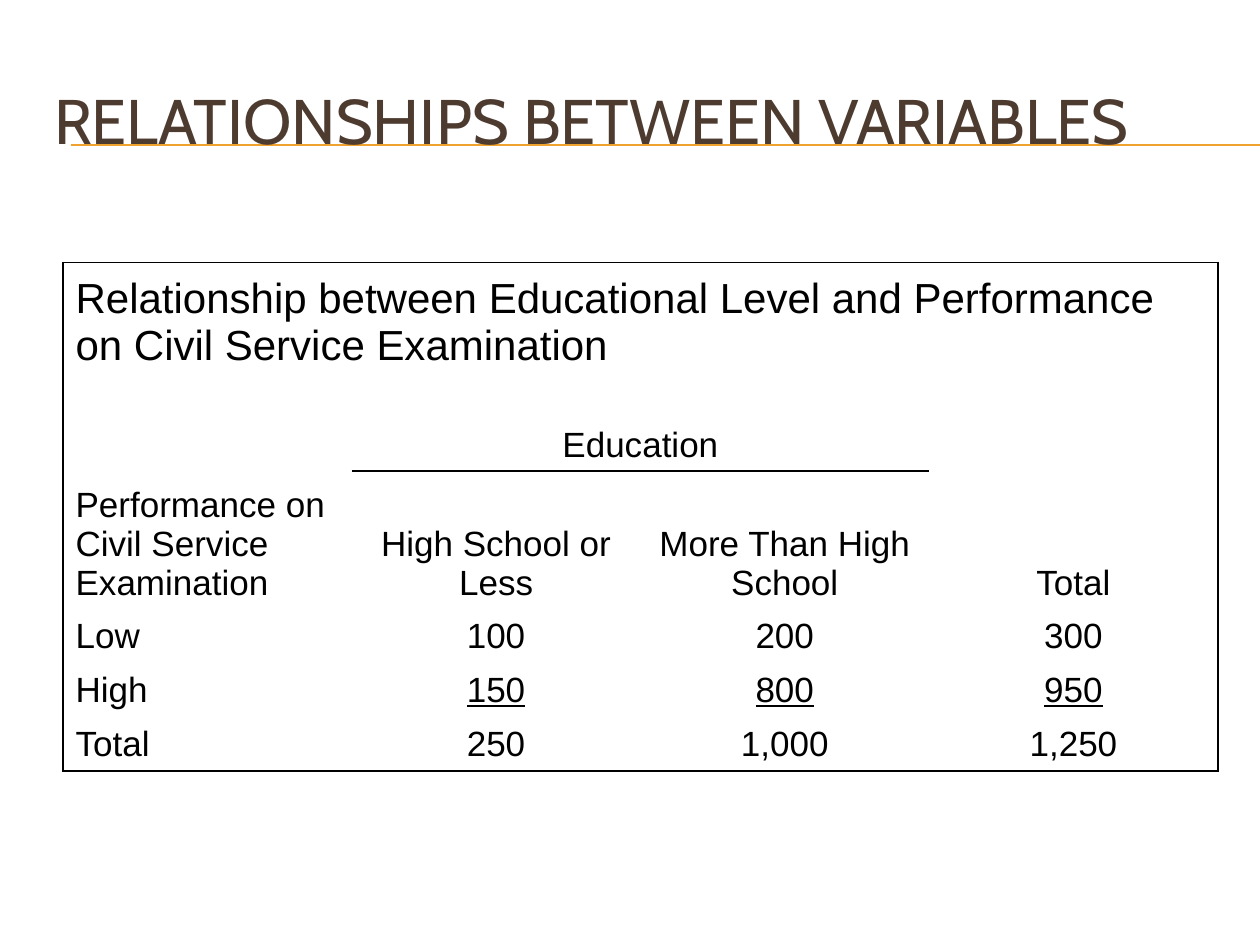
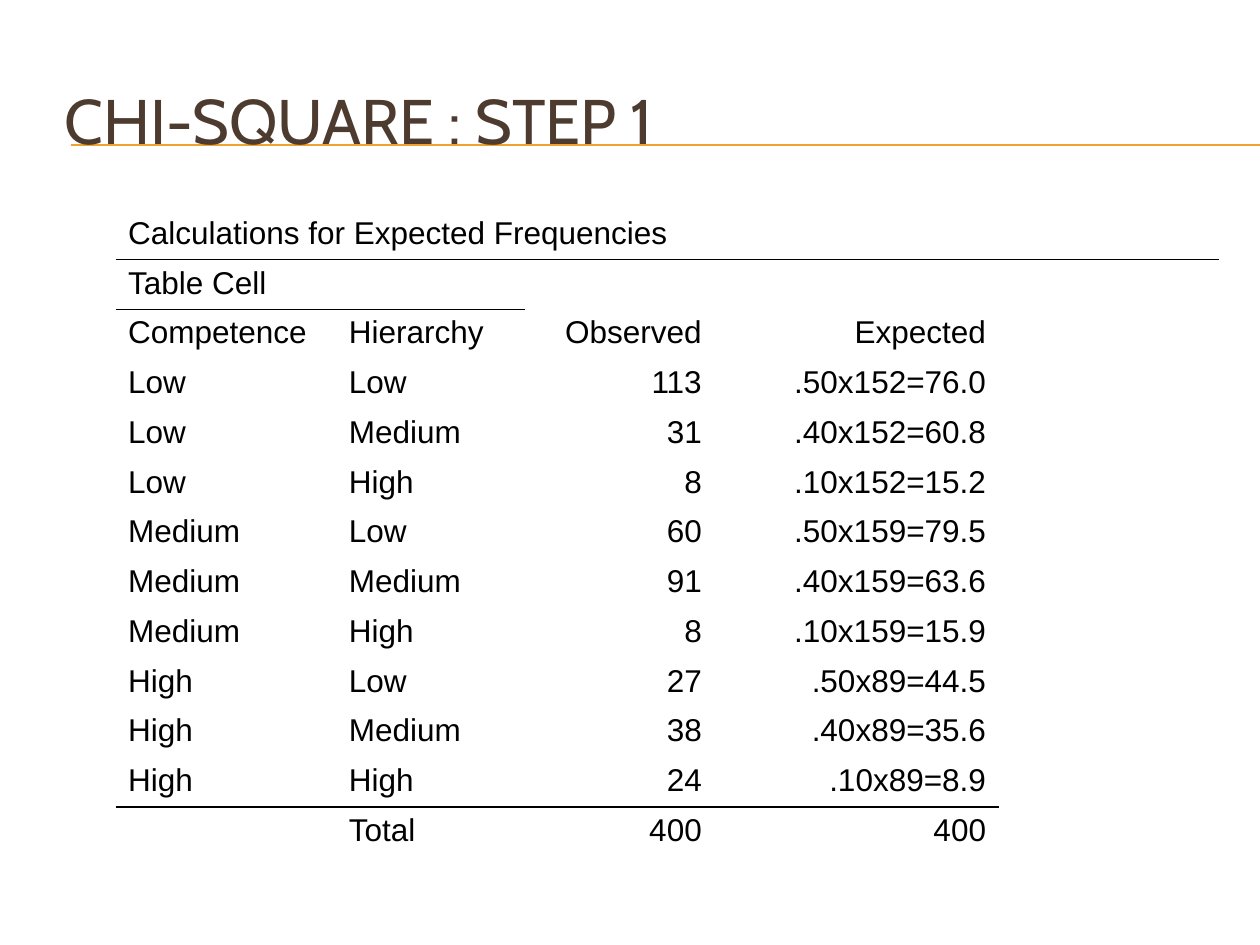
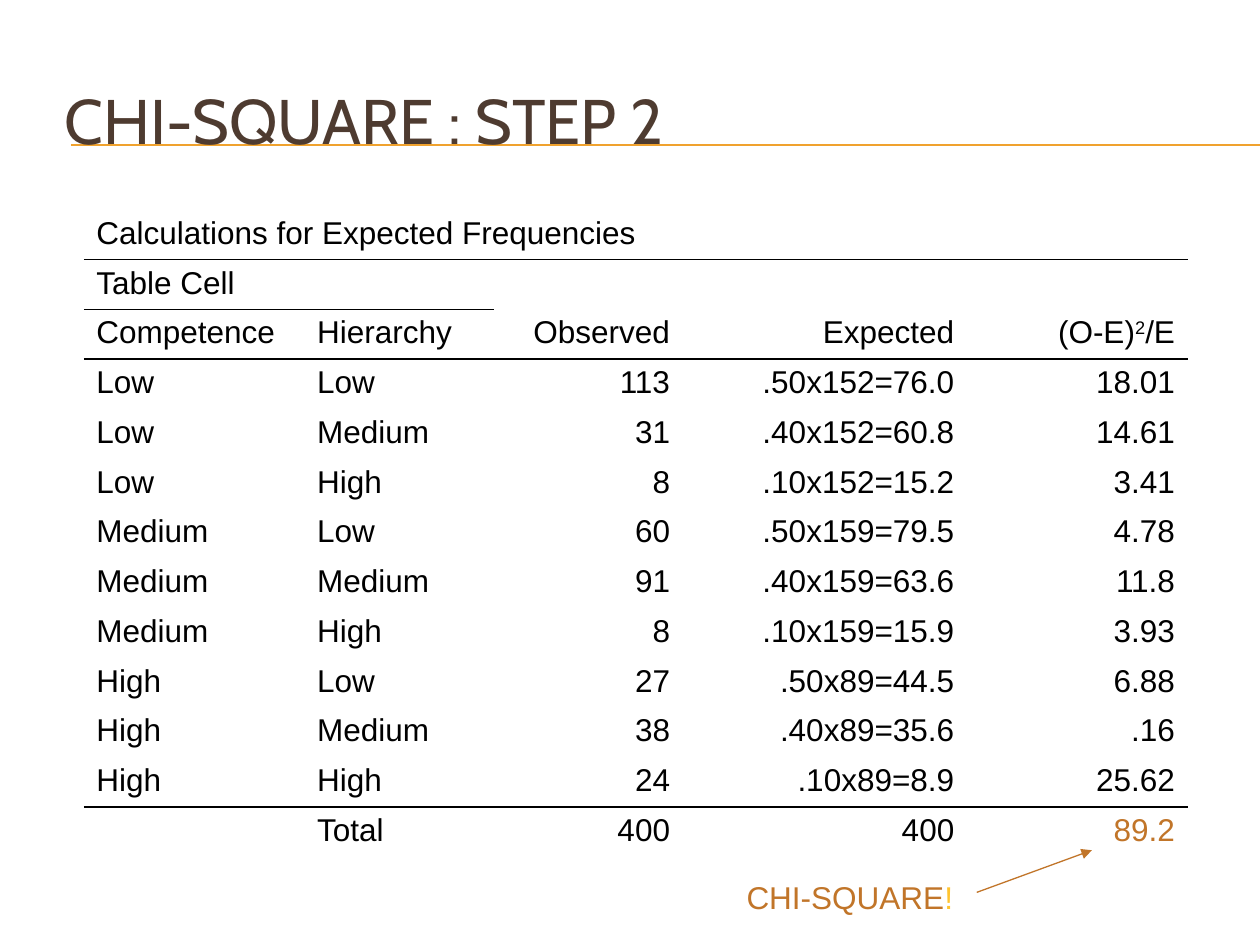
from dataclasses import dataclass
from typing import Any

from lxml import etree
from pptx import Presentation
from pptx.dml.color import RGBColor
from pptx.enum.shapes import MSO_CONNECTOR
from pptx.enum.text import MSO_ANCHOR, PP_ALIGN
from pptx.oxml.ns import qn
from pptx.util import Cm, Pt

STRAIGHT = MSO_CONNECTOR.STRAIGHT
LEFT, CENTER, RIGHT = PP_ALIGN.LEFT, PP_ALIGN.CENTER, PP_ALIGN.RIGHT
TOP, MIDDLE, BOTTOM = MSO_ANCHOR.TOP, MSO_ANCHOR.MIDDLE, MSO_ANCHOR.BOTTOM

COLORS = {
    "title": "4E3B30",
    "band": "F0A22E",
    "text": "000000",
    "accent": "C17529",
    "bang": "FFC42F",
}
TITLE_FONT, BODY_FONT = "Cabin", "Arial"
NO_STYLE = "{2D5ABB26-0587-4C30-8999-92F81FD0307C}"
SLIDE_W, SLIDE_H = 25.4, 19.05
SIDES = "LRTB"
BORDER_WIDTH = Pt(1)
CELL_MARGINS = {"margin_top": Cm(0.12), "margin_bottom": Cm(0.12)}


@dataclass(frozen=True)
class Run:
    text: str
    color: str = "text"
    underline: bool = False
    baseline: int = 0


@dataclass(frozen=True)
class Border:
    """A border on one side of the cells in a row and column range."""
    side: str
    rows: range
    cols: range


@dataclass(frozen=True)
class Grid:
    left: float
    top: float
    cols: list[float]
    rows: list[float]
    cells: list[list[Any]]
    spans: list[tuple[int, int, int]]
    borders: list[Border]
    aligns: list[Any]
    anchors: list[Any]
    sizes: list[int]


def rgb(name: str) -> RGBColor:
    return RGBColor.from_string(COLORS[name])


def set_attrs(obj: Any, values: dict[str, Any]) -> None:
    for name, value in values.items():
        setattr(obj, name, value)


def add_runs(p: Any, content: Any, size: int, font: str = BODY_FONT) -> None:
    """Add a string or a tuple of runs to a paragraph."""
    for run in (Run(content),) if isinstance(content, str) else content:
        r = p.add_run()
        r.text = run.text
        set_attrs(r.font, {"name": font, "size": Pt(size)})
        r.font.color.rgb = rgb(run.color)
        if run.underline:
            r.font.underline = True
        if run.baseline:
            r.font._element.set("baseline", str(run.baseline * 1000))


def set_empty_font(p: Any, size: int) -> None:
    """Keep an empty cell from making its row taller than the text does."""
    end = etree.SubElement(p._p, qn("a:endParaRPr"), sz=str(size * 100))
    etree.SubElement(end, qn("a:latin"), typeface=BODY_FONT)


def add_line(s: Any, x1: float, y1: float, x2: float, y2: float,
             color: str, arrow: bool = False) -> None:
    line = s.shapes.add_connector(STRAIGHT, Cm(x1), Cm(y1), Cm(x2), Cm(y2))
    line.line.color.rgb = rgb(color)
    line.line.width = Pt(0.75)
    if arrow:
        etree.SubElement(line.line._get_or_add_ln(), qn("a:tailEnd"), type="triangle")
    etree.SubElement(line._element.spPr, qn("a:effectLst"))


def add_text(s: Any, box: tuple[float, float, float, float], content: Any,
             size: int, font: str, wrap: bool, anchor: Any) -> None:
    tf = s.shapes.add_textbox(*map(Cm, box)).text_frame
    set_attrs(tf, {"word_wrap": wrap, "vertical_anchor": anchor})
    add_runs(tf.paragraphs[0], content, size, font)


def add_titled_slide(prs: Any, title: str, left: float) -> Any:
    s = prs.slides.add_slide(prs.slide_layouts[6])
    for y in (2.92, 2.94):
        add_line(s, 1.43, y, SLIDE_W, y, "band")
    add_text(s, (left, 0.42, 23.29, 3.98), (Run(title, "title"),),
             36, TITLE_FONT, True, MIDDLE)
    return s


def add_border(cell: Any, side: str, visible: bool) -> None:
    ln = etree.SubElement(cell._tc.get_or_add_tcPr(), qn(f"a:ln{side}"),
                          w=str(BORDER_WIDTH))
    if visible:
        fill = etree.SubElement(ln, qn("a:solidFill"))
        etree.SubElement(fill, qn("a:srgbClr"), val=COLORS["text"])
    else:
        etree.SubElement(ln, qn("a:noFill"))


def add_grid(s: Any, grid: Grid) -> None:
    frame = s.shapes.add_table(len(grid.rows), len(grid.cols), Cm(grid.left), Cm(grid.top),
                               Cm(sum(grid.cols)), Cm(sum(grid.rows)))
    table = frame.table
    set_attrs(table, {"first_row": False, "horz_banding": False})
    table._tbl.tblPr.find(qn("a:tableStyleId")).text = NO_STYLE
    for col, width in zip(table.columns, grid.cols):
        col.width = Cm(width)
    for row, height in zip(table.rows, grid.rows):
        row.height = Cm(height)
    for row, first, last in grid.spans:
        table.cell(row, first).merge(table.cell(row, last))
    for i, contents in enumerate(grid.cells):
        for j in range(len(grid.cols)):
            cell = table.cell(i, j)
            for side in SIDES:
                add_border(cell, side, any(b.side == side and i in b.rows and j in b.cols
                                           for b in grid.borders))
            cell.fill.background()
            set_attrs(cell, {"vertical_anchor": grid.anchors[i], **CELL_MARGINS})
            p = cell.text_frame.paragraphs[0]
            if j < len(contents) and contents[j]:
                p.alignment = grid.aligns[j] if i else LEFT
                add_runs(p, contents[j], grid.sizes[i])
            else:
                set_empty_font(p, grid.sizes[i])


def rule_below(row: int, cols: int) -> list[Border]:
    """A line under a row, set on the cells on both sides of it."""
    return [Border("B", range(row, row + 1), range(cols)),
            Border("T", range(row + 1, row + 2), range(cols))]


def education_grid() -> Grid:
    every_row, every_col = range(6), range(4)
    first, second, third, last = (range(i, i + 1) for i in (0, 1, 2, 5))
    middle = range(1, 3)
    return Grid(
        left=1.27, top=5.29, cols=[5.82] * 4,
        rows=[1.93] * 3 + [0.99] + [0.51] * 2,
        cells=[
            ["Relationship between Educational Level and Performance on Civil Service Examination"],
            ["", "Education"],
            ["Performance on Civil Service Examination", "High School or Less",
             "More Than High School", "Total"],
            ["Low", "100", "200", "300"],
            ["High"] + [(Run(value, underline=True),) for value in ("150", "800", "950")],
            ["Total", "250", "1,000", "1,250"],
        ],
        spans=[(0, 0, 3), (1, 1, 2)],
        borders=[
            Border("L", every_row, range(1)), Border("R", every_row, range(3, 4)),
            Border("R", first, range(1)),
            Border("T", first, every_col), Border("B", last, every_col),
            Border("B", second, middle), Border("T", third, middle),
        ],
        aligns=[LEFT] + [CENTER] * 3,
        anchors=[BOTTOM] * 3 + [MIDDLE] * 3,
        sizes=[24] + [20] * 5,
    )


LEVELS = ["Low", "Medium", "High"]
OBSERVED = ["113", "31", "8", "60", "91", "8", "27", "38", "24"]
EXPECTED = [
    ".50x152=76.0", ".40x152=60.8", ".10x152=15.2",
    ".50x159=79.5", ".40x159=63.6", ".10x159=15.9",
    ".50x89=44.5", ".40x89=35.6", ".10x89=8.9",
]
CHI_TERMS = ["18.01", "14.61", "3.41", "4.78", "11.8", "3.93", "6.88", ".16", "25.62"]
CHI_COLUMN = [
    (Run("(O-E)"), Run("2", baseline=30), Run("/E")),
    *CHI_TERMS,
    (Run("89.2", "accent"),),
]


def frequency_grid(left: float, with_chi: bool) -> Grid:
    pairs = [[competence, hierarchy] for competence in LEVELS for hierarchy in LEVELS]
    body = [["Competence", "Hierarchy", "Observed", "Expected"]]
    body += [pair + [o, e] for pair, o, e in zip(pairs, OBSERVED, EXPECTED)]
    body += [["", "Total", "400", "400"]]
    borders = rule_below(0, 5) + rule_below(1, 2) + rule_below(11, 5 if with_chi else 4)
    if with_chi:
        body = [row + [chi] for row, chi in zip(body, CHI_COLUMN)]
        borders += rule_below(2, 5)
    return Grid(
        left=left, top=4.23, cols=[4.45, 3.81, 3.81, 5.73, 4.45], rows=[0.94] * 13,
        cells=[["Calculations for Expected Frequencies"], ["Table Cell"]] + body,
        spans=[(0, 0, 4), (1, 0, 1)],
        borders=borders,
        aligns=[LEFT] * 2 + [RIGHT] * 3,
        anchors=[TOP] * 13,
        sizes=[18] * 13,
    )


def main() -> None:
    prs = Presentation()
    set_attrs(prs, {"slide_width": Cm(SLIDE_W), "slide_height": Cm(SLIDE_H)})

    s = add_titled_slide(prs, "RELATIONSHIPS BETWEEN VARIABLES", 0.84)
    add_grid(s, education_grid())

    s = add_titled_slide(prs, "CHI-SQUARE : STEP 1", 1.06)
    add_grid(s, frequency_grid(2.33, with_chi=False))

    s = add_titled_slide(prs, "CHI-SQUARE : STEP 2", 1.06)
    add_grid(s, frequency_grid(1.69, with_chi=True))
    add_text(s, (14.8, 17.57, 4.67, 1.03), (Run("CHI-SQUARE", "accent"), Run("!", "bang")),
             18, BODY_FONT, False, TOP)
    add_line(s, 19.69, 17.99, 22.01, 17.14, "accent", arrow=True)

    prs.save("out.pptx")


if __name__ == "__main__":
    main()
